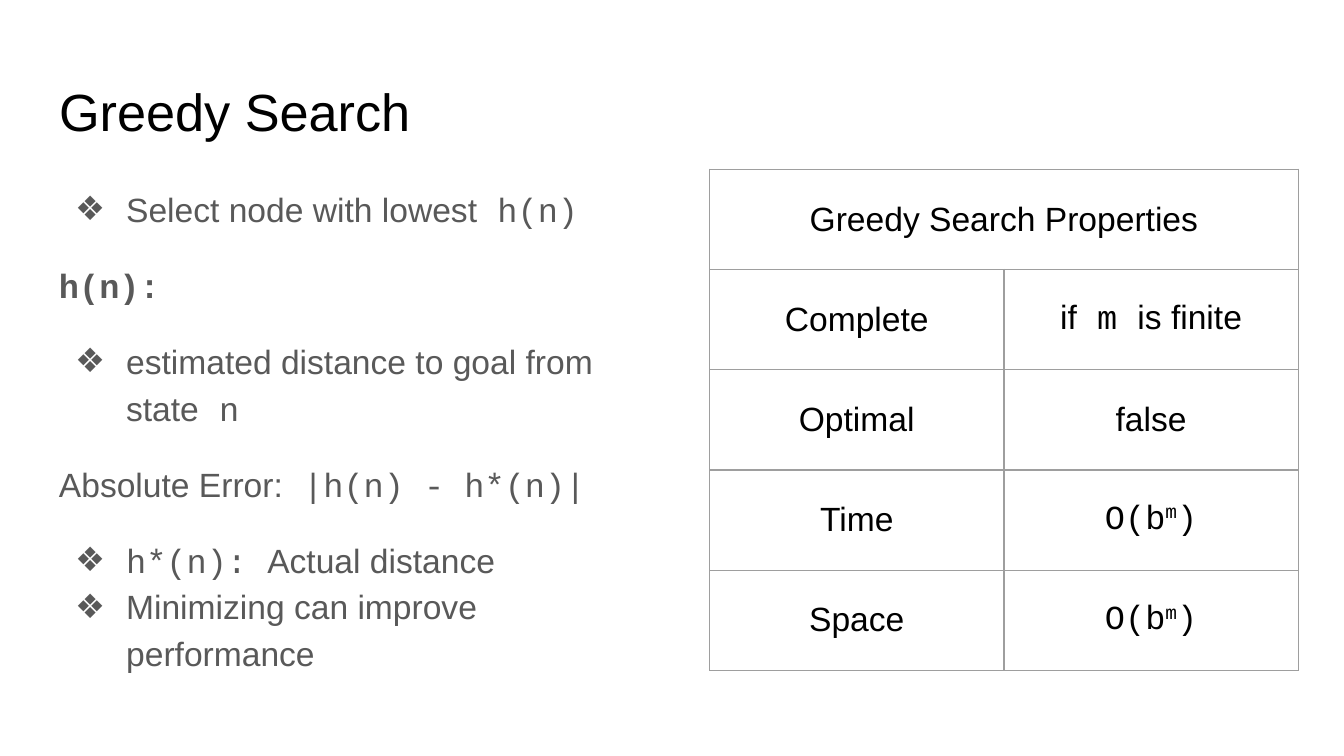
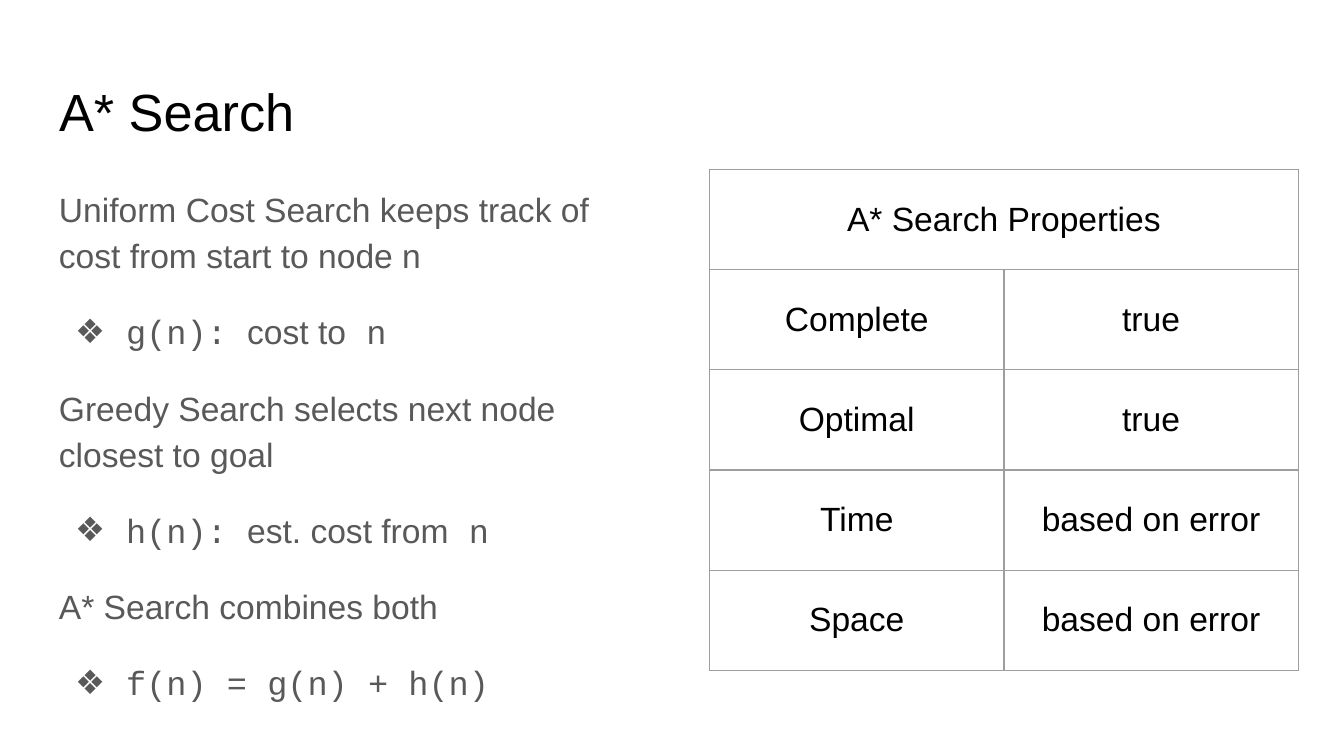
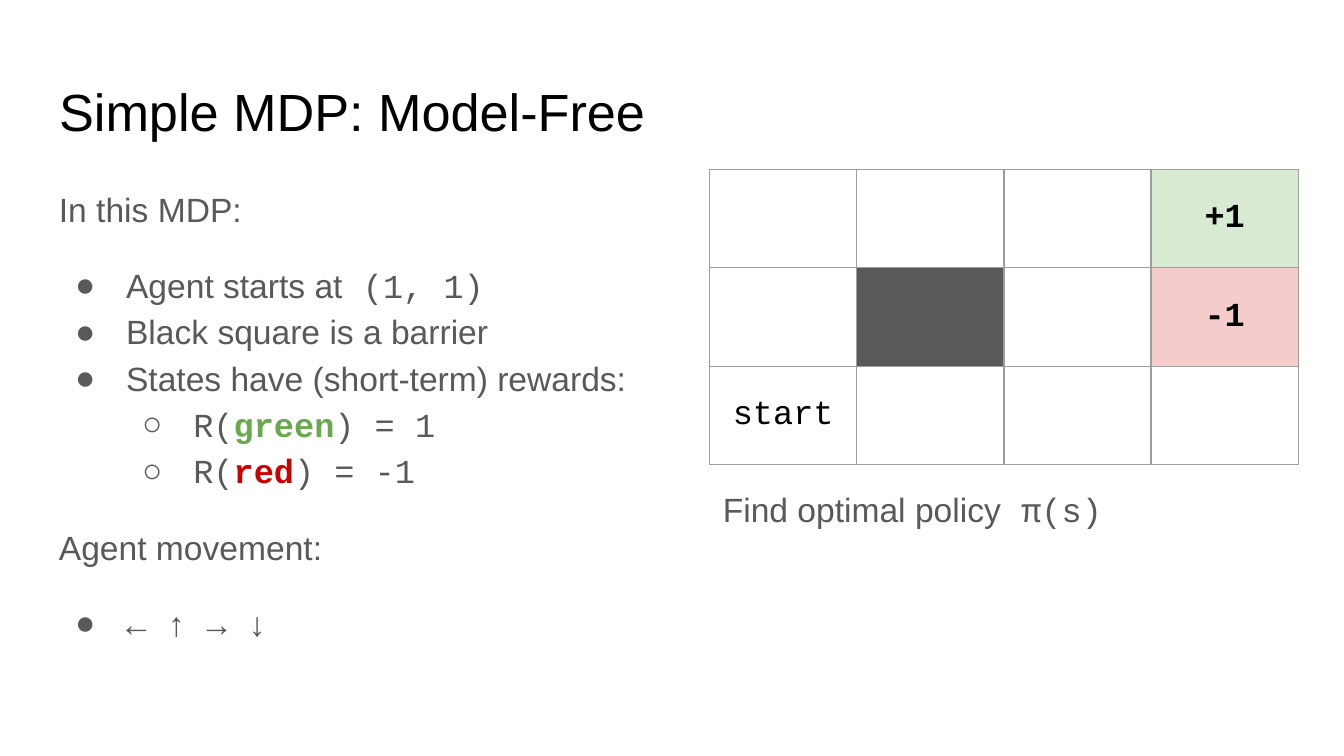
from dataclasses import dataclass

from pptx import Presentation
from pptx.dml.color import RGBColor
from pptx.enum.text import MSO_ANCHOR as Anchor, MSO_AUTO_SIZE as AutoSize, PP_ALIGN as Align
from pptx.oxml.ns import qn
from pptx.util import Inches, Pt
from lxml.etree import SubElement


@dataclass(frozen=True)
class Theme:
    sans: str = "Arial"
    mono: str = "Courier New"
    title_size: int = 28
    text_size: int = 18
    para_gap: int = 16
    line_spacing: float = 1.15
    black: str = "000000"
    gray: str = "595959"
    border: str = "9E9E9E"
    green: str = "6AA84F"
    red: str = "CC0000"
    pale_green: str = "D9EAD3"
    pale_red: str = "F4CCCC"


T = Theme()
LEFT, RIGHT = 0.34, 5.28
TITLE_TOP, BODY_TOP = 0.49, 1.26
COLUMN_W = 4.38
DIAMOND, DISC, CIRCLE = "❖", "●", "○"


# Content helpers: a run is (text, format), a paragraph is a dict
def mono(text, **fmt):
    return text, {"font": T.mono, **fmt}


def para(*runs, bullet=None, level=0, gap=T.para_gap):
    return {"runs": runs, "bullet": bullet, "level": level, "gap": gap}


# Text
def add_run(p, text, font=T.sans, size=T.text_size, color=T.black, bold=False, superscript=False):
    r = p.add_run()
    r.text = text
    r.font.name, r.font.size, r.font.bold = font, Pt(size), bold
    r.font.color.rgb = RGBColor.from_string(color)
    rPr = r._r.get_or_add_rPr()
    for tag in ("a:ea", "a:cs"):
        SubElement(rPr, qn(tag), typeface=font)
    if superscript:
        rPr.set("baseline", "30000")


def add_runs(p, runs, **base):
    for run in runs:
        text, fmt = (run, {}) if isinstance(run, str) else run
        add_run(p, text, **{**base, **fmt})


def set_bullet(p, char, level):
    p.level = level
    pPr = p._p.get_or_add_pPr()
    pPr.set("marL", str(Inches(0.5 * (level + 1))))
    pPr.set("indent", str(-Inches(0.38)))
    color = SubElement(pPr, qn("a:buClr"))
    SubElement(color, qn("a:srgbClr"), val=T.gray)
    SubElement(pPr, qn("a:buFont"), typeface=T.sans)
    SubElement(pPr, qn("a:buChar"), char=char)


def set_frame(tf, anchor=Anchor.TOP):
    tf.word_wrap = True
    tf.auto_size = AutoSize.NONE
    tf.vertical_anchor = anchor
    tf.margin_left = tf.margin_right = tf.margin_top = tf.margin_bottom = Inches(0.1)


def add_body(s, paragraphs, left=LEFT, top=BODY_TOP, width=COLUMN_W, height=3.74):
    box = s.shapes.add_textbox(Inches(left), Inches(top), Inches(width), Inches(height))
    tf = box.text_frame
    set_frame(tf)
    for i, item in enumerate(paragraphs):
        p = tf.add_paragraph() if i else tf.paragraphs[0]
        p.line_spacing = T.line_spacing
        p.space_before = Pt(item["gap"] if i else 0)
        if item["bullet"]:
            set_bullet(p, item["bullet"], item["level"])
        add_runs(p, item["runs"], color=T.gray)


def add_titled_slide(prs, title):
    s = prs.slides.add_slide(prs.slide_layouts[5])
    sp = s.shapes.title
    sp.left, sp.top, sp.width, sp.height = map(Inches, (LEFT, TITLE_TOP, 9.32, 0.63))
    set_frame(sp.text_frame)
    p = sp.text_frame.paragraphs[0]
    p.alignment = Align.LEFT
    add_run(p, title, size=T.title_size)
    return s


# Tables
def set_borders(cell):
    tcPr = cell._tc.get_or_add_tcPr()
    for side in ("a:lnL", "a:lnR", "a:lnT", "a:lnB"):
        ln = SubElement(tcPr, qn(side), w=str(Pt(0.75)))
        fill = SubElement(ln, qn("a:solidFill"))
        SubElement(fill, qn("a:srgbClr"), val=T.border)


def add_grid(s, rows, height, fills=None):
    """Draw equal cells; each entry is a list of runs, and fills maps (row, column) to a colour."""
    n_rows, n_cols = len(rows), len(rows[0])
    table = s.shapes.add_table(n_rows, n_cols, Inches(RIGHT), Inches(BODY_TOP),
                               Inches(COLUMN_W), Inches(height)).table
    table.first_row = table.horz_banding = False
    for row in table.rows:
        row.height = Inches(height) // n_rows
    for column in table.columns:
        column.width = Inches(COLUMN_W) // n_cols
    for i, row in enumerate(rows):
        for j, runs in enumerate(row):
            cell = table.cell(i, j)
            set_borders(cell)
            color = (fills or {}).get((i, j))
            if color:
                cell.fill.solid()
                cell.fill.fore_color.rgb = RGBColor.from_string(color)
            else:
                cell.fill.background()
            cell.vertical_anchor = Anchor.MIDDLE
            cell.margin_left = cell.margin_right = Inches(0.1)
            cell.margin_top = cell.margin_bottom = Inches(0.1)
            p = cell.text_frame.paragraphs[0]
            p.alignment = Align.CENTER
            add_runs(p, runs)
    return table


def add_properties(s, heading, complete, optimal, time, space):
    rows = [[[heading], []],
            [["Complete"], complete],
            [["Optimal"], optimal],
            [["Time"], time],
            [["Space"], space]]
    table = add_grid(s, rows, height=3.73)
    table.cell(0, 0).merge(table.cell(0, 1))


# Slides
def greedy_slide(prs):
    s = add_titled_slide(prs, "Greedy Search")
    add_body(s, [
        para("Select node with lowest", mono(" h(n)"), bullet=DIAMOND),
        para(mono("h(n):", bold=True)),
        para("estimated distance to goal from state", mono(" n"), bullet=DIAMOND),
        para("Absolute Error:", mono(" |h(n) - h*(n)|")),
        para(mono("h*(n): "), "Actual distance", bullet=DIAMOND),
        para("Minimizing can improve performance", bullet=DIAMOND, gap=0),
    ])
    exponential = [mono("O(b"), mono("m", superscript=True), mono(")")]
    add_properties(s, "Greedy Search Properties",
                   complete=["if", mono(" m "), "is finite"], optimal=["false"],
                   time=exponential, space=exponential)


def a_star_slide(prs):
    s = add_titled_slide(prs, "A* Search")
    add_body(s, [
        para("Uniform Cost Search keeps track of cost from start to node n"),
        para(mono("g(n): "), "cost to", mono(" n"), bullet=DIAMOND),
        para("Greedy Search selects next node closest to goal"),
        para(mono("h(n): "), "est. cost from", mono(" n"), bullet=DIAMOND),
        para("A* Search combines both"),
        para(mono("f(n) = g(n) + h(n)"), bullet=DIAMOND),
    ])
    add_properties(s, "A* Search Properties", complete=["true"], optimal=["true"],
                   time=["based on error"], space=["based on error"])


def reward(name, color, value):
    return para(mono("R("), mono(name, color=color, bold=True), mono(f") = {value}"),
                bullet=CIRCLE, level=1, gap=0)


def mdp_slide(prs):
    s = add_titled_slide(prs, "Simple MDP: Model-Free")
    add_body(s, [
        para("In this MDP:"),
        para("Agent starts at", mono(" (1, 1)"), bullet=DISC),
        para("Black square is a barrier", bullet=DISC, gap=0),
        para("States have (short-term) rewards:", bullet=DISC, gap=0),
        reward("green", T.green, 1),
        reward("red", T.red, -1),
        para("Agent movement:"),
        para(mono("← ↑ → ↓"), bullet=DISC),
    ], width=RIGHT - LEFT)
    add_body(s, [para("Find optimal policy", mono(" π(s)"))], left=RIGHT, top=3.49, height=0.6)
    world = [[[], [], [], [mono("+1", bold=True)]],
             [[], [], [], [mono("-1", bold=True)]],
             [[mono("start")], [], [], []]]
    add_grid(s, world, height=2.2,
             fills={(0, 3): T.pale_green, (1, 1): T.gray, (1, 3): T.pale_red})


def main():
    prs = Presentation()
    # Widescreen, 16:9
    prs.slide_width = Inches(10)
    prs.slide_height = Inches(10) * 9 // 16
    greedy_slide(prs)
    a_star_slide(prs)
    mdp_slide(prs)
    prs.save("out.pptx")


if __name__ == "__main__":
    main()
